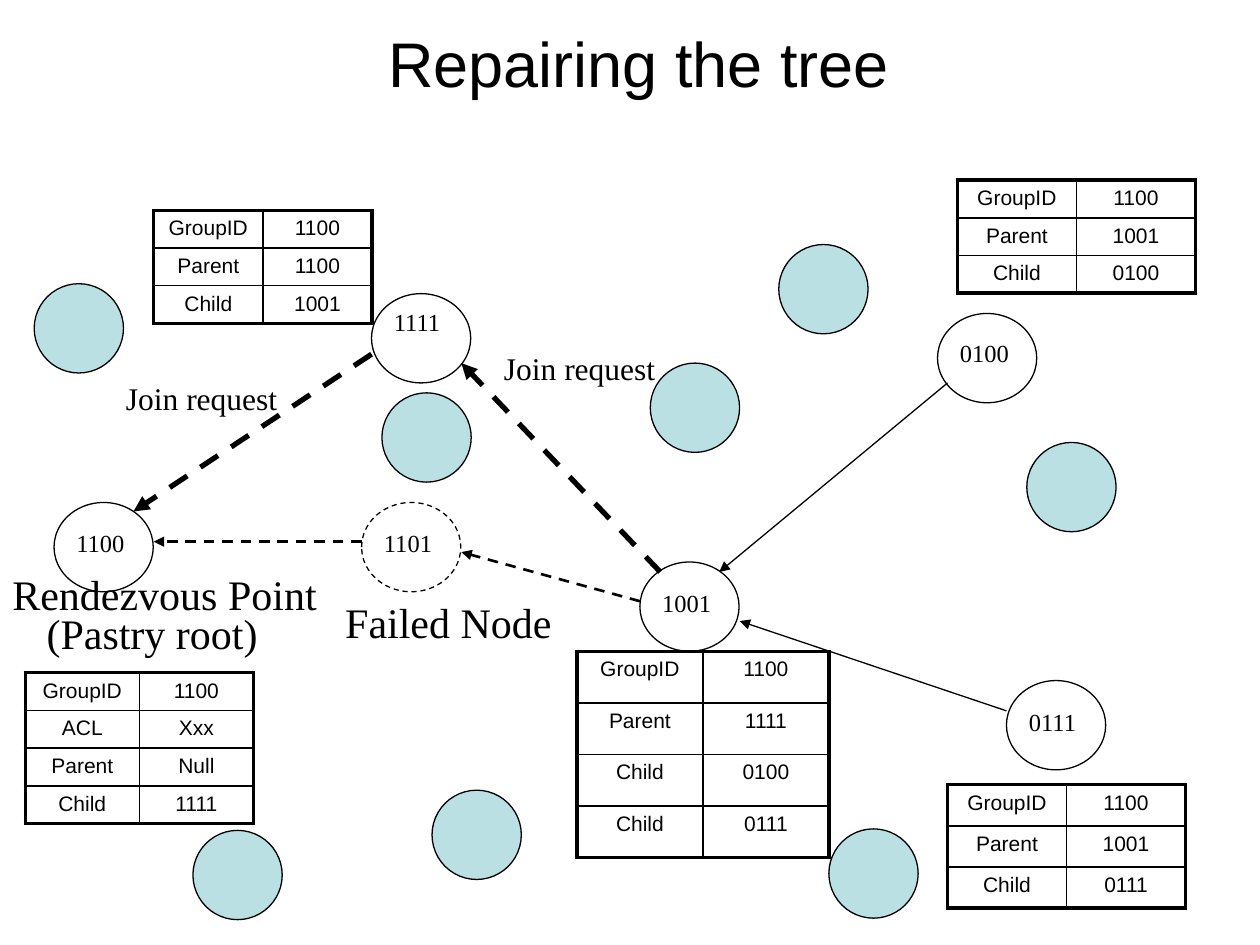
from dataclasses import dataclass

from lxml import etree
from pptx import Presentation
from pptx import util as u
from pptx.dml.color import RGBColor
from pptx.enum import dml, shapes, text
from pptx.oxml import ns


@dataclass(frozen=True)
class Theme:
    ink: str = "000000"
    peer: str = "BBE0E3"
    sans: str = "Arial"
    serif: str = "Times New Roman"
    title: int = 36
    caption: int = 24
    message: int = 18
    node: int = 14
    cell: int = 12
    thin: float = 0.75
    inner: float = 1
    medium: float = 1.5
    outer: float = 2.25
    thick: float = 3


class Diagram:
    def __init__(self, deck, theme):
        self.theme = theme
        self.page = deck.slides.add_slide(deck.slide_layouts[5])

    def format_font(self, para, size, family):
        para.font.size = u.Pt(size)
        para.font.name = family
        para.font.color.rgb = RGBColor.from_string(self.theme.ink)

    def format_line(self, line, width, dashed):
        line.color.rgb = RGBColor.from_string(self.theme.ink)
        line.width = u.Pt(width)
        if dashed:
            line.dash_style = dml.MSO_LINE.DASH

    def title(self, wording, left, top, width, height):
        box = self.page.shapes.title
        box.left, box.top, box.width, box.height = map(u.Cm, (left, top, width, height))
        box.text_frame.text = wording
        box.text_frame.vertical_anchor = text.MSO_ANCHOR.MIDDLE
        para = box.text_frame.paragraphs[0]
        para.alignment = text.PP_ALIGN.CENTER
        self.format_font(para, self.theme.title, self.theme.sans)

    def label(self, wording, left, top, width, height, size):
        box = self.page.shapes.add_textbox(*map(u.Cm, (left, top, width, height)))
        box.text_frame.text = wording
        box.text_frame.word_wrap = False
        box.text_frame.auto_size = text.MSO_AUTO_SIZE.SHAPE_TO_FIT_TEXT
        self.format_font(box.text_frame.paragraphs[0], size, self.theme.serif)

    def circle(self, left, top, width, height, fill=None, dashed=False):
        circle = self.page.shapes.add_shape(
            shapes.MSO_SHAPE.OVAL, *map(u.Cm, (left, top, width, height)))
        circle.shadow.inherit = False
        if fill:
            circle.fill.solid()
            circle.fill.fore_color.rgb = RGBColor.from_string(fill)
        else:
            circle.fill.background()
        self.format_line(circle.line, self.theme.thin, dashed)

    def node(self, name, left, top, drop, failed=False):
        self.circle(left, top, 2, 1.8, dashed=failed)
        self.label(name, left + 0.2, top + drop, 1.5, 0.84, self.theme.node)

    def peer(self, left, top):
        self.circle(left, top, 1.8, 1.8, fill=self.theme.peer)

    def arrow(self, start, end, width, dashed=False):
        arrow = self.page.shapes.add_connector(
            shapes.MSO_CONNECTOR.STRAIGHT, *map(u.Cm, (*start, *end)))
        self.format_line(arrow.line, width, dashed)
        etree.SubElement(arrow.line._get_or_add_ln(), ns.qn("a:tailEnd"), type="triangle")
        etree.SubElement(arrow._element.spPr, ns.qn("a:effectLst"))

    def cell_border(self, cell, side, width):
        border = etree.SubElement(
            cell._tc.get_or_add_tcPr(), ns.qn(f"a:ln{side}"), w=str(u.Pt(width)))
        fill = etree.SubElement(border, ns.qn("a:solidFill"))
        etree.SubElement(fill, ns.qn("a:srgbClr"), val=self.theme.ink)

    def table(self, left, top, width, row_height, rows):
        count = len(rows)
        table = self.page.shapes.add_table(
            count, 2, *map(u.Cm, (left, top, width, row_height * count))).table
        table.first_row = table.horz_banding = False
        for row, values in enumerate(rows):
            for column, value in enumerate(values):
                cell = table.cell(row, column)
                cell.text = value
                para = cell.text_frame.paragraphs[0]
                para.alignment = text.PP_ALIGN.CENTER
                self.format_font(para, self.theme.cell, self.theme.sans)
                edges = {"L": column == 0, "R": column == 1,
                         "T": row == 0, "B": row == count - 1}
                for side, outside in edges.items():
                    self.cell_border(
                        cell, side, self.theme.outer if outside else self.theme.inner)
                cell.fill.background()


def group_rows(parent, *children):
    return [("GroupID", "1100"), ("Parent", parent),
            *(("Child", child) for child in children)]


def main():
    deck = Presentation()
    deck.slide_width, deck.slide_height = u.Cm(25.4), u.Cm(19.05)
    theme = Theme()
    diagram = Diagram(deck, theme)
    diagram.title(" Repairing the tree", 1.27, 0.2, 22.86, 2.11)

    root_rows = group_rows("Null", "1111")
    root_rows.insert(1, ("ACL", "Xxx"))
    for table in (
        (3.1, 4.24, 4.4, 0.76, group_rows("1100", "1001")),
        (19.3, 3.63, 4.8, 0.76, group_rows("1001", "0100")),
        (11.63, 13.13, 5.08, 1.04, group_rows("1111", "0100", "0111")),
        (19.1, 15.82, 4.8, 0.83, group_rows("1001", "0111")),
        (0.51, 13.56, 4.6, 0.76, root_rows),
    ):
        diagram.table(*table)

    for node in (
        ("1100", 1.09, 10.13, 0.38),
        ("1101", 7.29, 10.13, 0.38, True),
        ("1111", 7.49, 5.92, 0.15),
        ("1001", 12.9, 11.33, 0.4),
        ("0111", 20.29, 13.72, 0.4),
        ("0100", 18.9, 6.32, 0.36),
    ):
        diagram.node(*node)

    for peer in ((0.69, 5.72), (7.7, 7.92), (3.89, 16.74), (13.11, 7.32),
                 (16.71, 16.71), (20.7, 8.92), (15.7, 4.93), (8.71, 15.93)):
        diagram.peer(*peer)

    for arrow in (
        ((12.9, 12.12), (9.3, 11.13), theme.medium, True),
        ((7.29, 10.92), (3.1, 10.92), theme.medium, True),
        ((20.29, 14.33), (14.91, 12.52), theme.thin),
        ((19.1, 7.72), (14.5, 11.53), theme.thin),
        ((13.31, 11.53), (9.3, 7.32), theme.thick, True),
        ((7.49, 7.14), (2.69, 10.31), theme.thick, True),
    ):
        diagram.arrow(*arrow)

    for caption in (
        ("Rendezvous Point", 0, 11.33, 6.65),
        ("(Pastry root)", 0.69, 12.12, 4.78),
        ("Failed Node", 6.71, 11.91, 4.67),
    ):
        diagram.label(*caption, 1.27, theme.caption)
    for left, top in ((9.91, 6.91), (2.29, 7.52)):
        diagram.label("Join request", left, top, 3.56, 1.02, theme.message)

    deck.save("out.pptx")


if __name__ == "__main__":
    main()
